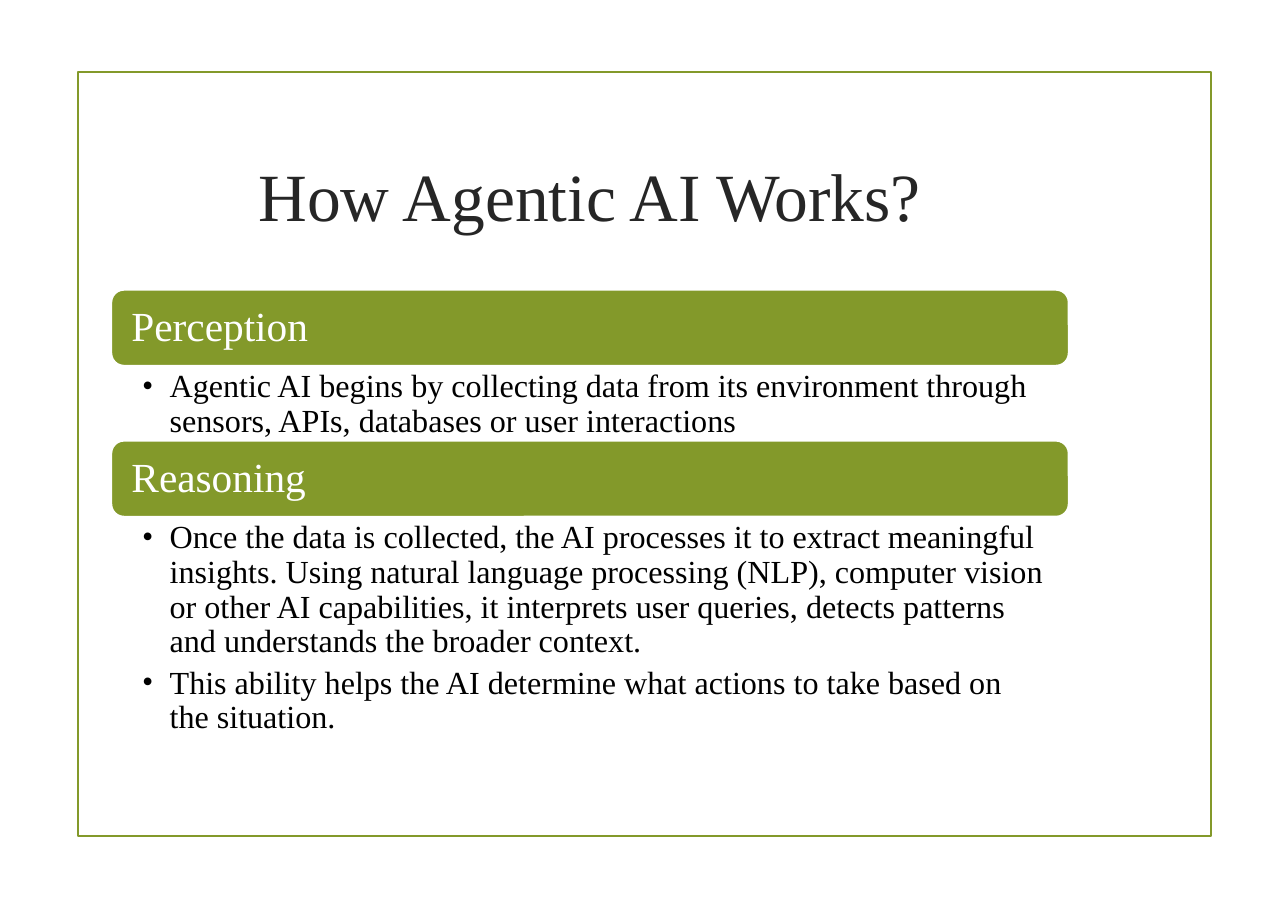
from lxml import etree
from pptx import Presentation
from pptx.dml.color import RGBColor
from pptx.enum.shapes import MSO_SHAPE
from pptx.enum.text import MSO_ANCHOR, PP_ALIGN
from pptx.oxml.ns import qn
from pptx.util import Pt

PX = 9144  # 100 px to the inch
RECT, ROUND_RECT = MSO_SHAPE.RECTANGLE, MSO_SHAPE.ROUNDED_RECTANGLE
TOP, MIDDLE = MSO_ANCHOR.TOP, MSO_ANCHOR.MIDDLE
LEFT, CENTER = PP_ALIGN.LEFT, PP_ALIGN.CENTER
FONT = "Times New Roman"
GREEN, WHITE, BLACK, DARK = "83992A", "FFFFFF", "000000", "262626"
BAR_HEIGHT = 69
BULLET_INDENT = 25

SECTIONS = [
    ("Perception", 68, [
        "Agentic AI begins by collecting data from its environment through "
        "sensors, APIs, databases or user interactions",
    ]),
    ("Reasoning", 193, [
        "Once the data is collected, the AI processes it to extract meaningful "
        "insights. Using natural language processing (NLP), computer vision or "
        "other AI capabilities, it interprets user queries, detects patterns and "
        "understands the broader context.",
        "This ability helps the AI determine what actions to take based on the "
        "situation.",
    ]),
]


def color(value):
    return RGBColor.from_string(value)


def scaled(box):
    return [length * PX for length in box]


def add_panel(page, kind, box, fill, line):
    panel = page.shapes.add_shape(kind, *scaled(box))
    panel.shadow.inherit = False
    if fill:
        panel.fill.solid()
        panel.fill.fore_color.rgb = color(fill)
    else:
        panel.fill.background()
    panel.line.color.rgb = color(line)
    panel.line.width = Pt(1.25)
    return panel


def add_bullet(para):
    props = para._p.get_or_add_pPr()
    props.set("marL", str(BULLET_INDENT * PX))
    props.set("indent", str(-BULLET_INDENT * PX))
    etree.SubElement(props, qn("a:buFont")).set("typeface", FONT)
    etree.SubElement(props, qn("a:buChar")).set("char", "•")


def write(shape, lines, size, ink, insets, anchor=MIDDLE, align=LEFT,
          spacing=0.9, bullets=False):
    frame = shape.text_frame
    sides = ("margin_left", "margin_top", "margin_right", "margin_bottom")
    settings = dict(zip(sides, scaled(insets)), word_wrap=True, vertical_anchor=anchor)
    for name, value in settings.items():
        setattr(frame, name, value)
    for index, line in enumerate(lines):
        para = frame.add_paragraph() if index else frame.paragraphs[0]
        para.alignment = align
        para.line_spacing = spacing
        if bullets:
            para.space_after = Pt(size * 0.2)
            add_bullet(para)
        span = para.add_run()
        span.text = line
        for name, value in {"name": FONT, "size": Pt(size)}.items():
            setattr(span.font, name, value)
        span.font.color.rgb = color(ink)


def add_title(page, box, text):
    title = page.shapes.add_textbox(*scaled(box))
    write(title, [text], 44.1, DARK, (10, 5, 10, 5), align=CENTER, spacing=1.0)


def add_section(page, box, heading, points):
    left, top, width, height = box
    bar = add_panel(page, ROUND_RECT, (left, top, width, BAR_HEIGHT), GREEN, WHITE)
    write(bar, [heading], 27, WHITE, (15, 11, 15, 11))
    body = page.shapes.add_textbox(
        *scaled((left, top + BAR_HEIGHT, width, height - BAR_HEIGHT)))
    write(body, points, 21, BLACK, (28, 4, 21, 4), anchor=TOP, bullets=True)


def main():
    deck = Presentation()
    deck.slide_width, deck.slide_height = scaled((1169, 826))
    page = deck.slides.add_slide(deck.slide_layouts[6])
    add_panel(page, RECT, (71, 65, 1028, 694), None, GREEN)
    add_title(page, (101, 98, 869, 157), "How Agentic AI Works?")
    top = 263
    for heading, body_height, points in SECTIONS:
        height = BAR_HEIGHT + body_height
        add_section(page, (101, top, 869, height), heading, points)
        top += height
    deck.save("out.pptx")


if __name__ == "__main__":
    main()
